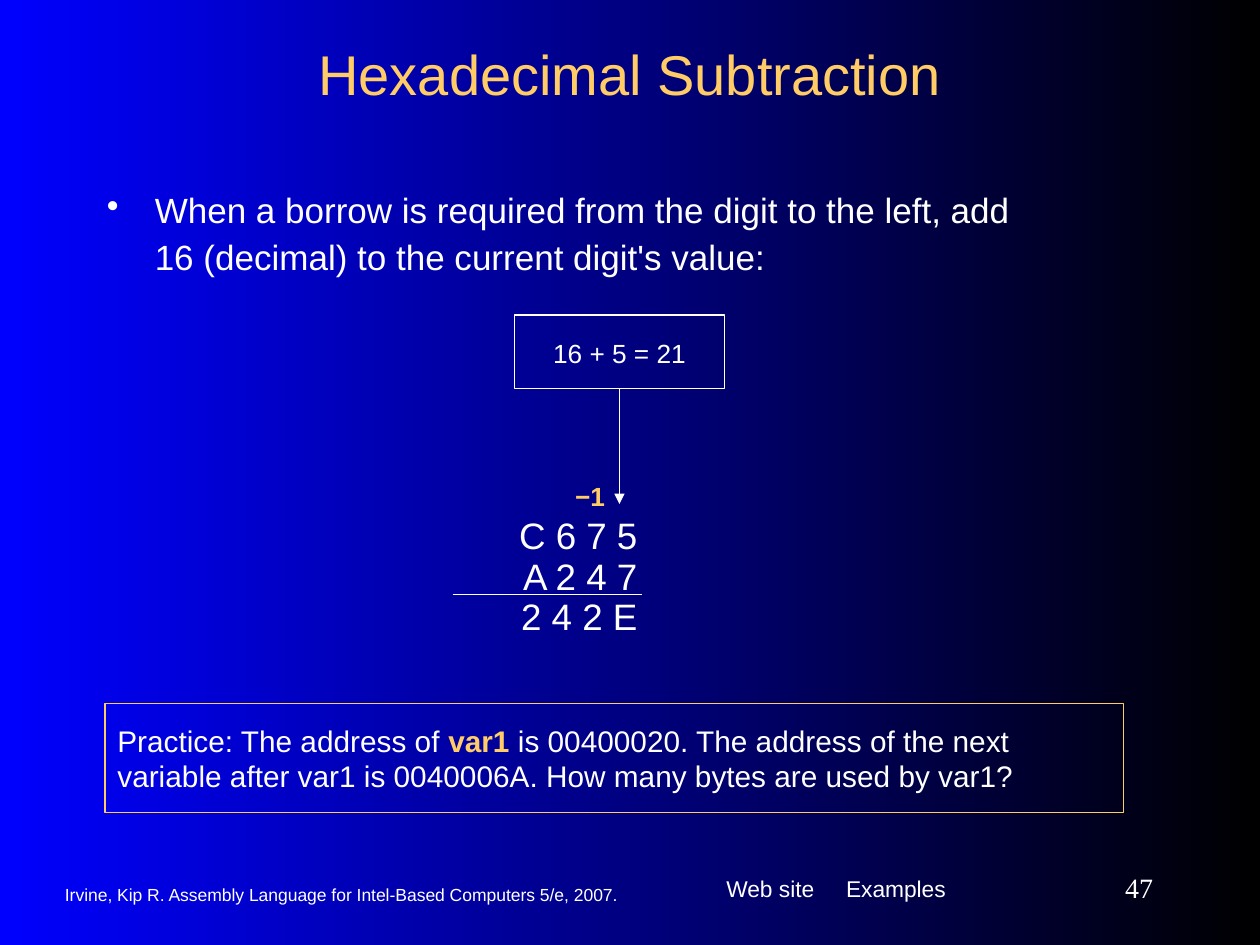
import pptx
import pptx.dml.color
import pptx.enum.shapes
import pptx.enum.text
import pptx.oxml
import pptx.oxml.ns
import pptx.util
from lxml import etree

COLORS = {"white": "FFFFFF", "gold": "FFCC66", "blue": "0000FF", "black": "000000"}
COLS, ROWS = 120, 90
WIDTH, HEIGHT = pptx.util.Inches(10), pptx.util.Inches(7.5)
ALIGN = pptx.enum.text.PP_ALIGN
ANCHOR = pptx.enum.text.MSO_ANCHOR
qn = pptx.oxml.ns.qn


def rgb(name):
    return pptx.dml.color.RGBColor.from_string(COLORS[name])


def x(col):
    return round(WIDTH * col / COLS)


def y(row):
    return round(HEIGHT * row / ROWS)


def set_frame(s, pad, anchor):
    tf = s.text_frame
    tf.word_wrap = True
    tf.vertical_anchor = anchor
    tf.margin_left = tf.margin_right = pptx.util.Inches(0.1)
    tf.margin_top = tf.margin_bottom = pptx.util.Inches(pad)
    return tf


def add_text(slide, cell, pad=0.05, anchor=ANCHOR.TOP):
    col, row, cols, rows = cell
    s = slide.shapes.add_textbox(x(col), y(row), x(cols), y(rows))
    return set_frame(s, pad, anchor)


def add_frame(slide, cell, color):
    col, row, cols, rows = cell
    s = slide.shapes.add_shape(
        pptx.enum.shapes.MSO_SHAPE.RECTANGLE, x(col), y(row), x(cols), y(rows))
    s.shadow.inherit = False
    s.fill.background()
    s.line.color.rgb = rgb(color)
    s.line.width = pptx.util.Pt(0.75)
    return set_frame(s, 0.15, ANCHOR.TOP)


def add_run(p, text, size, color="white", bold=False, font="Arial"):
    r = p.add_run()
    r.text = text
    r.font.name = font
    r.font.size = pptx.util.Pt(size)
    r.font.bold = bold
    r.font.color.rgb = rgb(color)


def write(tf, text, size, align=ALIGN.LEFT, **style):
    p = tf.paragraphs[0]
    p.alignment = align
    add_run(p, text, size, **style)
    return p


def add_bullet(p, indent):
    pPr = p._p.get_or_add_pPr()
    pPr.set("marL", str(pptx.util.Inches(indent)))
    pPr.set("indent", str(-pptx.util.Inches(indent)))
    etree.SubElement(pPr, qn("a:buChar")).set("char", "•")


def add_tab(p, position):
    tabs = etree.SubElement(p._p.get_or_add_pPr(), qn("a:tabLst"))
    tab = etree.SubElement(tabs, qn("a:tab"))
    tab.set("pos", str(pptx.util.Inches(position)))
    tab.set("algn", "l")


def add_line(slide, start, end, arrow=False):
    s = slide.shapes.add_connector(
        pptx.enum.shapes.MSO_CONNECTOR.STRAIGHT,
        x(start[0]), y(start[1]), x(end[0]), y(end[1]))
    s.line.color.rgb = rgb("white")
    s.line.width = pptx.util.Pt(0.75)
    if arrow:
        etree.SubElement(s.line._get_or_add_ln(), qn("a:tailEnd")).set("type", "triangle")
    etree.SubElement(s._element.spPr, qn("a:effectLst"))


def set_background(slide):
    fill = slide.background.fill
    fill.gradient()
    fill.gradient_angle = 0
    for stop, color in zip(fill.gradient_stops, ("blue", "black")):
        stop.color.rgb = rgb(color)


def add_footer(slide):
    p = write(add_text(slide, (68, 82, 27, 6.2), 0.15), "Web site\tExamples", 13)
    add_tab(p, 0.95)
    write(add_text(slide, (5, 83.2, 57, 4), anchor=ANCHOR.MIDDLE),
          "Irvine, Kip R. Assembly Language for Intel-Based Computers 5/e, 2007.", 10)
    write(add_text(slide, (98, 82, 13, 5), anchor=ANCHOR.MIDDLE),
          "47", 16, ALIGN.RIGHT, font="Times New Roman")


def add_subtraction(slide):
    tf = add_text(slide, (38.9, 49.2, 23, 13.1), 0.15)
    for i, digits in enumerate(("C 6 7 5", "A 2 4 7", "2 4 2 E")):
        p = tf.add_paragraph() if i else tf.paragraphs[0]
        p.alignment = ALIGN.RIGHT
        p.line_spacing = 0.4
        if i:
            p.space_before = pptx.util.Pt(13.1)
        add_run(p, digits, 21)
    add_line(slide, (43.1, 56.6), (61.1, 56.6))
    write(add_text(slide, (53.6, 44.2, 7, 6.6), 0.15), "−1", 15, color="gold", bold=True)
    add_line(slide, (59, 37), (59, 48), arrow=True)
    p = write(add_frame(slide, (49, 30, 20, 7), "white"), "16 + 5 = 21", 15, ALIGN.CENTER)
    p.line_spacing = 1.1


def add_practice(slide):
    p = add_frame(slide, (10, 67, 97, 10.4), "gold").paragraphs[0]
    p.alignment = ALIGN.LEFT
    add_run(p, "Practice: The address of ", 17)
    add_run(p, "var1", 17, "gold", True)
    add_run(p, " is 00400020. The address of the next variable after var1 is 0040006A. "
               "How many bytes are used by var1?", 17)


def main():
    prs = pptx.Presentation()
    prs.slide_width, prs.slide_height = WIDTH, HEIGHT
    slide = prs.slides.add_slide(prs.slide_layouts[6])
    set_background(slide)
    add_footer(slide)
    write(add_text(slide, (9, 3, 102, 8), anchor=ANCHOR.MIDDLE),
          "Hexadecimal Subtraction", 32, ALIGN.CENTER, color="gold")
    p = write(add_text(slide, (9, 17, 93, 10)),
              "When a borrow is required from the digit to the left, "
              "add 16 (decimal) to the current digit's value:", 20)
    p.line_spacing = 1.1
    add_bullet(p, 0.38)
    add_subtraction(slide)
    add_practice(slide)
    prs.save("out.pptx")


if __name__ == "__main__":
    main()
